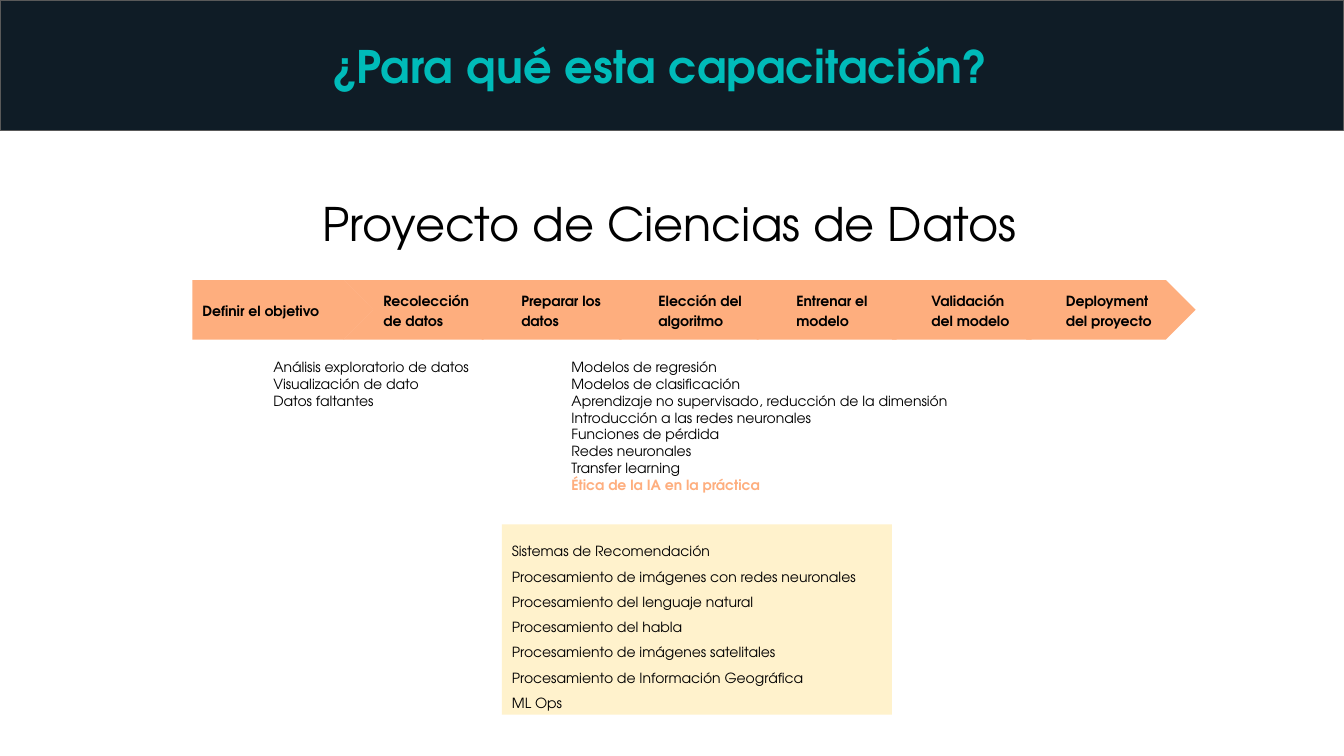
from lxml import etree
from pptx import Presentation
from pptx.dml.color import RGBColor
from pptx.enum.shapes import MSO_SHAPE
from pptx.enum.text import MSO_ANCHOR, MSO_AUTO_SIZE, PP_ALIGN
from pptx.oxml.ns import qn
from pptx.util import Pt

RECTANGLE = MSO_SHAPE.RECTANGLE
PENTAGON = MSO_SHAPE.PENTAGON
CHEVRON = MSO_SHAPE.CHEVRON
TOP, MIDDLE = MSO_ANCHOR.TOP, MSO_ANCHOR.MIDDLE
LEFT, CENTER = PP_ALIGN.LEFT, PP_ALIGN.CENTER
NO_AUTOFIT = MSO_AUTO_SIZE.NONE

FONT = "TeX Gyre Adventor"
NAVY = RGBColor(0x0F, 0x1C, 0x26)
GRAY = RGBColor(0x59, 0x59, 0x59)
TEAL = RGBColor(0x00, 0xBB, 0xB9)
ORANGE = RGBColor(0xFE, 0xAE, 0x7E)
CREAM = RGBColor(0xFF, 0xF2, 0xCC)
WHITE = RGBColor(0xFF, 0xFF, 0xFF)
BLACK = RGBColor(0x00, 0x00, 0x00)

COMPARISON_LAYOUT = 4
STEP_TOP, STEP_HEIGHT = 200, 42.5
FIRST_STEP_WIDTH, STEP_WIDTH = 129.5, 121

STEPS = [
    ("Definir el objetivo", 137.5),
    ("Recolección de datos", 245.5),
    ("Preparar los datos", 344),
    ("Elección del algoritmo", 442),
    ("Entrenar el modelo", 540.5),
    ("Validación del modelo", 637),
    ("Deployment del proyecto", 733),
]
DATA_TOPICS = [
    "Análisis exploratorio de datos",
    "Visualización de dato",
    "Datos faltantes",
]
MODEL_TOPICS = [
    "Modelos de regresión",
    "Modelos de clasificación",
    "Aprendizaje no supervisado, reducción de la dimensión",
    "Introducción a las redes neuronales",
    "Funciones de pérdida",
    "Redes neuronales",
    "Transfer learning",
]
ETHICS_TOPIC = "Ética de la IA en la práctica"
APPLICATIONS = [
    "Sistemas de Recomendación",
    "Procesamiento de imágenes con redes neuronales",
    "Procesamiento del lenguaje natural",
    "Procesamiento del habla",
    "Procesamiento de imágenes satelitales",
    "Procesamiento de Información Geográfica",
    "ML Ops",
]


def place(box, left, top, width, height):
    box.left, box.top = Pt(left), Pt(top)
    box.width, box.height = Pt(width), Pt(height)


def set_frame(box, anchor, inset=7.2):
    frame = box.text_frame
    frame.word_wrap = True
    frame.auto_size = NO_AUTOFIT
    frame.vertical_anchor = anchor
    frame.margin_left = frame.margin_right = Pt(inset)
    frame.margin_top = frame.margin_bottom = Pt(inset)
    return frame


def remove_bullet(para):
    properties = para._p.get_or_add_pPr()
    properties.set("marL", "0")
    properties.set("indent", "0")
    etree.SubElement(properties, qn("a:buNone"))


def write(para, text, size=10, color=BLACK, bold=False, align=LEFT, spacing=1.0):
    para.alignment = align
    para.line_spacing = spacing
    para.space_before = para.space_after = Pt(0)
    span = para.add_run()
    span.text = text
    span.font.name = FONT
    span.font.size = Pt(size)
    span.font.bold = bold
    span.font.color.rgb = color


def fill_list(box, bounds, items, spacing=1.0, fill=WHITE):
    """Fill a body placeholder with one unbulleted paragraph per item."""
    place(box, *bounds)
    box.fill.solid()
    box.fill.fore_color.rgb = fill
    frame = set_frame(box, TOP)
    for index, item in enumerate(items):
        para = frame.add_paragraph() if index else frame.paragraphs[0]
        remove_bullet(para)
        write(para, item, spacing=spacing)
    return frame


def add_plain_shape(slide, kind, bounds, fill):
    shape = slide.shapes.add_shape(kind, *map(Pt, bounds))
    shape.shadow.inherit = False
    shape.fill.solid()
    shape.fill.fore_color.rgb = fill
    shape.line.fill.background()
    return shape


def add_header(slide):
    band = add_plain_shape(slide, RECTANGLE, (0, 0, 960, 93), NAVY)
    band.line.color.rgb = GRAY
    band.line.width = Pt(0.75)
    slide.shapes.element.insert(2, band.element)  # behind the title

    title = slide.shapes.title
    place(title, 216.5, 18, 510, 65)
    frame = set_frame(title, TOP, inset=9.4)
    write(frame.paragraphs[0], "¿Para qué esta capacitación?", 32, TEAL, True, CENTER)


def add_heading(box):
    place(box, 223, 132, 517, 55)
    para = set_frame(box, TOP).paragraphs[0]
    remove_bullet(para)
    write(para, "Proyecto de Ciencias de Datos", 33)


def add_steps(slide):
    for index, (label, left) in enumerate(STEPS):
        kind, width = (CHEVRON, STEP_WIDTH) if index else (PENTAGON, FIRST_STEP_WIDTH)
        step = add_plain_shape(slide, kind, (left, STEP_TOP, width, STEP_HEIGHT), ORANGE)
        frame = set_frame(step, MIDDLE)
        write(frame.paragraphs[0], label, bold=True, spacing=1.15)


def main():
    deck = Presentation()
    deck.slide_width, deck.slide_height = Pt(960), Pt(540)
    slide = deck.slides.add_slide(deck.slide_layouts[COMPARISON_LAYOUT])
    _, heading, data_box, model_box, application_box = slide.placeholders

    add_header(slide)
    add_heading(heading)
    add_steps(slide)
    fill_list(data_box, (188, 249, 236, 63.5), DATA_TOPICS)
    models = fill_list(model_box, (401, 249, 400, 111.5), MODEL_TOPICS)
    ethics = models.add_paragraph()
    remove_bullet(ethics)
    write(ethics, ETHICS_TOPIC, color=ORANGE, bold=True)
    fill_list(application_box, (358.5, 374.5, 278.5, 136), APPLICATIONS, 1.5, CREAM)

    deck.save("out.pptx")


if __name__ == "__main__":
    main()
